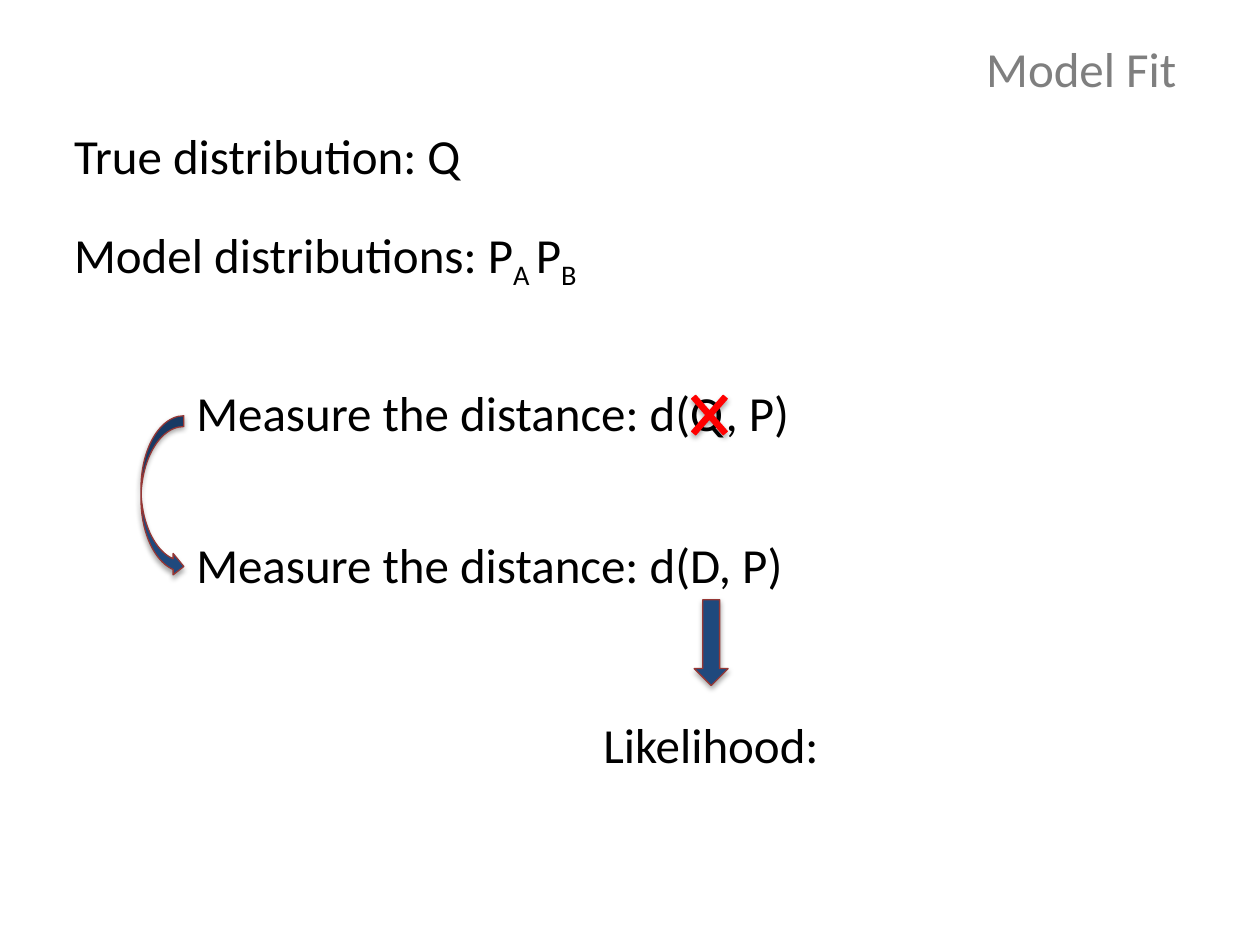
from lxml.etree import SubElement
from pptx import Presentation
from pptx.dml.color import RGBColor
from pptx.enum.shapes import MSO_SHAPE
from pptx.enum.text import MSO_AUTO_SIZE
from pptx.oxml.ns import qn
from pptx.util import Pt

BLACK = RGBColor(0x00, 0x00, 0x00)
GRAY = RGBColor(0x7F, 0x7F, 0x7F)
RED = RGBColor(0xFF, 0x00, 0x00)
NAVY = RGBColor(0x1F, 0x49, 0x7D)
MAROON = RGBColor(0x95, 0x37, 0x35)

FONT = "Calibri"
TEXT_SIZE = 28
TEXT_HEIGHT = 41.2
MARGIN_LEFT = 35.3
STEP_LEFT = 105.1
SUBSCRIPT = "-25000"


def add_text(slide, left, top, width, runs, color=BLACK):
    """Add one line of text; runs are (text, is_subscript) pairs."""
    box = slide.shapes.add_textbox(Pt(left), Pt(top), Pt(width), Pt(TEXT_HEIGHT))
    frame = box.text_frame
    frame.word_wrap = False
    frame.auto_size = MSO_AUTO_SIZE.SHAPE_TO_FIT_TEXT
    paragraph = frame.paragraphs[0]
    for text, is_subscript in runs:
        run = paragraph.add_run()
        run.text = text
        run.font.name = FONT
        run.font.size = Pt(TEXT_SIZE)
        run.font.color.rgb = color
        if is_subscript:
            run._r.get_or_add_rPr().set("baseline", SUBSCRIPT)


def add_shadow(shape):
    """Give the shape a soft black shadow straight below it."""
    shape.shadow.inherit = False
    effects = shape._element.spPr.find(qn("a:effectLst"))
    shadow = SubElement(effects, qn("a:outerShdw"), blurRad=str(Pt(3.1)),
                        dist=str(Pt(1.8)), dir="5400000", rotWithShape="0")
    color = SubElement(shadow, qn("a:srgbClr"), val=str(BLACK))
    SubElement(color, qn("a:alpha"), val="35000")


def add_symbol(slide, kind, left, top, width, height, fill=NAVY, line=MAROON):
    shape = slide.shapes.add_shape(kind, Pt(left), Pt(top), Pt(width), Pt(height))
    shape.fill.solid()
    shape.fill.fore_color.rgb = fill
    shape.line.color.rgb = line
    shape.line.width = Pt(0.75)
    add_shadow(shape)
    return shape


def main():
    presentation = Presentation()
    presentation.slide_width = Pt(720)
    presentation.slide_height = Pt(540)
    slide = presentation.slides.add_slide(presentation.slide_layouts[6])

    add_text(slide, 556.5, 18.7, 124.6, [("Model Fit", False)], GRAY)
    add_text(slide, MARGIN_LEFT, 68.4, 239.8, [("True distribution: Q", False)])
    add_text(slide, MARGIN_LEFT, 124.6, 310.3,
             [("Model distributions: P", False), ("A ", True),
              ("P", False), ("B", True)])

    add_text(slide, STEP_LEFT, 215.3, 356.4,
             [("Measure the distance: d(Q, P)", False)])
    cross = add_symbol(slide, MSO_SHAPE.MATH_MULTIPLY, 388.1, 217.4, 34.6, 39.6,
                       fill=RED, line=RED)
    cross.adjustments[0] = 0.088

    add_symbol(slide, MSO_SHAPE.CURVED_RIGHT_ARROW, 80.6, 237.6, 24.5, 92.2)
    add_text(slide, STEP_LEFT, 301.7, 355,
             [("Measure the distance: d(D, P)", False)])

    add_symbol(slide, MSO_SHAPE.DOWN_ARROW, 396.7, 342.7, 19.4, 49)
    add_text(slide, 337.7, 404.6, 139.7, [("Likelihood:", False)])

    presentation.save("out.pptx")


if __name__ == "__main__":
    main()
